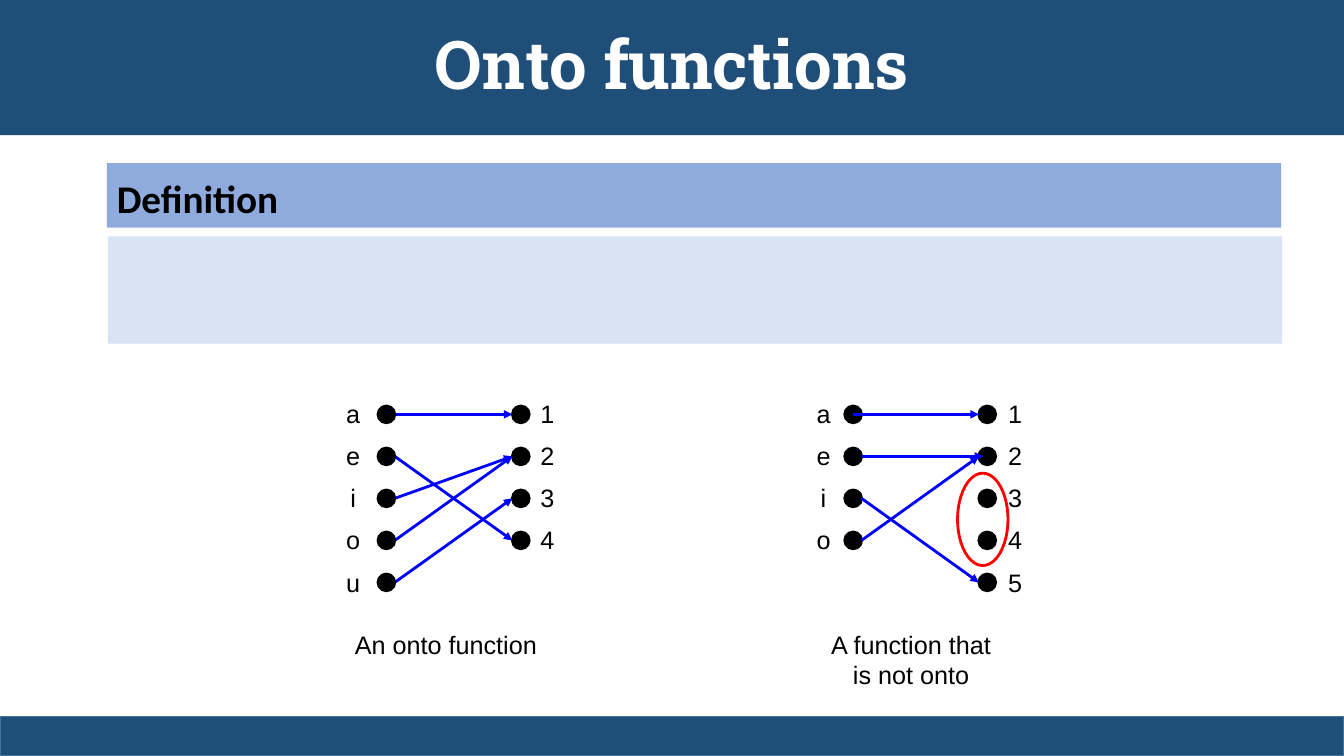
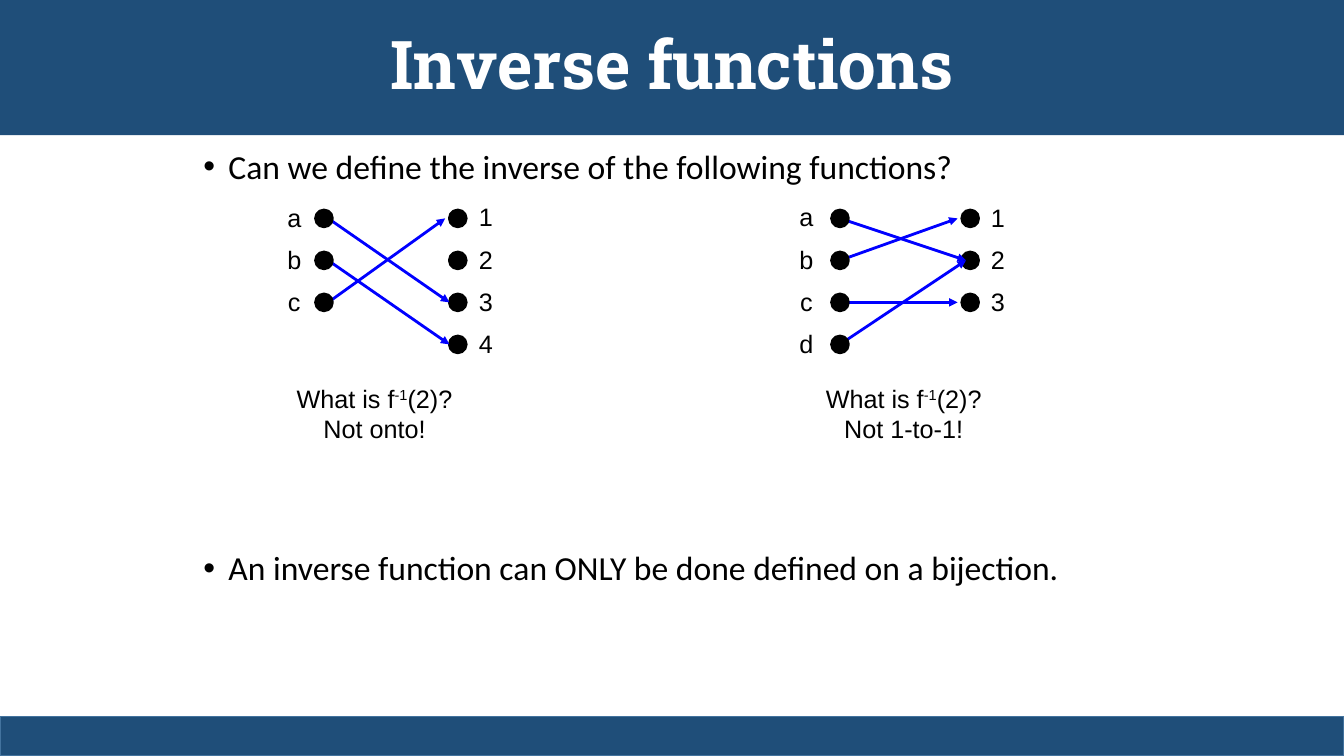
from pptx import Presentation
from pptx.dml.color import RGBColor
from pptx.enum import shapes, text
from pptx.oxml.ns import qn
from pptx.util import Pt
from lxml import etree

# Shared look
COLORS = {"band": "1F4E79", "band_edge": "43739E", "heading": "8FAADC", "panel": "DAE3F3",
          "dot": "000000", "arrow": "0000FF", "mark": "FF0000", "text": "000000",
          "title": "FFFFFF"}
STYLES = {
    "title": {"name": "Roboto Slab", "size": Pt(48), "bold": True, "color": "title"},
    "heading": {"name": "Calibri", "size": Pt(28), "bold": True, "color": "text"},
    "body": {"name": "Calibri", "size": Pt(24), "color": "text"},
    "label": {"name": "Arial", "size": Pt(18), "color": "text"},
}
WIDTH, HEIGHT = 960, 540
DOT, PITCH = 12, 30
LABEL_W = 24.5
ONTO_TOP, INVERSE_TOP = 290, 150

# Content: arrows are (left row, right row, start offset, end offset),
# with offsets measured from the left edges of the two dots
ONTO_DIAGRAMS = [
    {"left": "aeiou", "right": "1234", "dots_x": (270, 366), "labels_x": (240, 378.7),
     "arrows": [(0, 0, 12, 0), (1, 3, 12, 0), (2, 1, 12, 0), (3, 1, 12, 0), (4, 2, 12, 0)],
     "caption": [["An onto function"]], "caption_box": (238.5, 445.7, 160, 28.8)},
    {"left": "aeio", "right": "12345", "dots_x": (603.4, 699.2), "labels_x": (576, 712.8),
     "arrows": [(0, 0, 6, 0), (1, 1, 12, 3), (3, 1, 12, 0), (2, 4, 12, 0)],
     "arrows_on_top": True,
     "caption": [["A function that is not onto"]], "caption_box": (581.8, 445.7, 138, 50.4)},
]
INVERSE_DIAGRAMS = [
    {"left": "abc", "right": "1234", "dots_x": (225.4, 321), "labels_x": (198, 334.8),
     "arrows": [(1, 3, 9, 0), (0, 2, 9, 0), (2, 0, 9, -3)],
     "caption": [["What is f", "^-1", "(2)?"], ["Not onto!"]],
     "caption_box": (187.5, 270, 160, 50.4)},
    {"left": "abcd", "right": "123", "dots_x": (594, 687), "labels_x": (563.8, 700.6),
     "arrows": [(1, 0, 6, -3), (0, 1, 6, 3), (2, 2, 6, -3), (3, 1, 6, 3)],
     "caption": [["What is f", "^-1", "(2)?"], ["Not 1-to-1!"]],
     "caption_box": (565.5, 270, 160, 50.4)},
]
# Bullets with the space before each
INVERSE_BULLETS = [("Can we define the inverse of the following functions?", 0),
                   ("An inverse function can ONLY be done defined on a bijection.", 261)]


def rgb(key):
    return RGBColor.from_string(COLORS[key])


def set_font(font, style):
    for attr, value in STYLES[style].items():
        if attr == "color":
            font.color.rgb = rgb(value)
        else:
            setattr(font, attr, value)


def place(sp, left, top, width, height):
    sp.left, sp.top, sp.width, sp.height = map(Pt, (left, top, width, height))


def add_shape(s, kind, box, fill=None, line=None, line_width=2):
    sp = s.shapes.add_shape(kind, *map(Pt, box))
    sp.shadow.inherit = False
    if fill:
        sp.fill.solid()
        sp.fill.fore_color.rgb = rgb(fill)
    else:
        sp.fill.background()
    if line:
        sp.line.color.rgb = rgb(line)
        sp.line.width = Pt(line_width)
    else:
        sp.line.fill.background()
    return sp


def add_centred_text(s, box, paragraphs, spacing=1.0):
    """Each paragraph is a list of runs; a leading ^ marks a superscript."""
    tf = s.shapes.add_textbox(*map(Pt, box)).text_frame
    tf.word_wrap = True
    tf.margin_left = tf.margin_right = Pt(0 if box[2] == LABEL_W else 7.2)
    for i, runs in enumerate(paragraphs):
        p = tf.add_paragraph() if i else tf.paragraphs[0]
        p.alignment = text.PP_ALIGN.CENTER
        p.line_spacing = spacing
        for run in runs:
            r = p.add_run()
            r.text = run.lstrip("^")
            set_font(r.font, "label")
            if run.startswith("^"):
                r._r.get_or_add_rPr().set("baseline", "30000")


def add_arrow(s, x1, y1, x2, y2):
    c = s.shapes.add_connector(shapes.MSO_CONNECTOR.STRAIGHT, *map(Pt, (x1, y1, x2, y2)))
    c.line.color.rgb = rgb("arrow")
    c.line.width = Pt(2)
    etree.SubElement(c.line._get_or_add_ln(), qn("a:tailEnd"), type="triangle")
    etree.SubElement(c._element.spPr, qn("a:effectLst"))


def add_dots(s, x, top, count):
    for row in range(count):
        add_shape(s, shapes.MSO_SHAPE.OVAL, (x, top + row * PITCH, DOT, DOT), "dot", "dot")


def add_diagram(s, d, top):
    left_x, right_x = d["dots_x"]
    on_top = d.get("arrows_on_top", False)
    add_dots(s, right_x, top, len(d["right"]))
    if on_top:
        add_dots(s, left_x, top, len(d["left"]))
    for i, j, start, end in d["arrows"]:
        y1, y2 = (top + DOT / 2 + row * PITCH for row in (i, j))
        add_arrow(s, left_x + start, y1, right_x + end, y2)
    if not on_top:
        add_dots(s, left_x, top, len(d["left"]))
    for x, names in zip(d["labels_x"], (d["left"], d["right"])):
        box = (x, top - 18, LABEL_W, len(names) * PITCH + 8)
        add_centred_text(s, box, [[name] for name in names], spacing=1.4)
    add_centred_text(s, d["caption_box"], d["caption"])


def add_slide(prs, layout, title):
    s = prs.slides.add_slide(prs.slide_layouts.get_by_name(layout))
    sp = s.shapes.title
    place(sp, 0, 0, WIDTH, 96.5)
    sp.fill.solid()
    sp.fill.fore_color.rgb = rgb("band")
    tf = sp.text_frame
    tf.text = title
    tf.auto_size = text.MSO_AUTO_SIZE.NONE
    tf.vertical_anchor = text.MSO_ANCHOR.MIDDLE
    p = tf.paragraphs[0]
    p.alignment = text.PP_ALIGN.CENTER
    p.line_spacing = 0.9
    set_font(p.runs[0].font, "title")
    add_shape(s, shapes.MSO_SHAPE.RECTANGLE, (0, 511.75, WIDTH, 28.25), "band", "band_edge", 1)
    return s


def add_definition(s):
    sp = add_shape(s, shapes.MSO_SHAPE.RECTANGLE, (76.3, 116.6, 838.8, 46), "heading")
    tf = sp.text_frame
    tf.vertical_anchor = text.MSO_ANCHOR.TOP
    p = tf.paragraphs[0]
    p.alignment = text.PP_ALIGN.LEFT
    p.line_spacing = 1.14
    r = p.add_run()
    r.text = "Definition"
    set_font(r.font, "heading")
    add_shape(s, shapes.MSO_SHAPE.RECTANGLE, (77, 168.8, 838.8, 76.7), "panel")


def fill_bullets(sp, bullets):
    place(sp, 138, 103.7, 684, 401)
    tf = sp.text_frame
    tf.auto_size = text.MSO_AUTO_SIZE.NONE
    for i, (line, gap) in enumerate(bullets):
        p = tf.add_paragraph() if i else tf.paragraphs[0]
        p.line_spacing = 0.9
        p.space_before = Pt(gap)
        pPr = p._p.get_or_add_pPr()
        pPr.set("marL", str(Pt(18)))
        pPr.set("indent", str(-Pt(18)))
        etree.SubElement(pPr, qn("a:buFont"), typeface="Arial")
        etree.SubElement(pPr, qn("a:buChar"), char="•")
        r = p.add_run()
        r.text = line
        set_font(r.font, "body")


def main():
    prs = Presentation()
    prs.slide_width, prs.slide_height = Pt(WIDTH), Pt(HEIGHT)

    # Onto functions
    s = add_slide(prs, "Title Only", "Onto functions")
    add_definition(s)
    for d in ONTO_DIAGRAMS:
        add_diagram(s, d, ONTO_TOP)
    add_shape(s, shapes.MSO_SHAPE.OVAL, (684, 338, 36, 66), line="mark")

    # Inverse functions
    s = add_slide(prs, "Title and Content", "Inverse functions")
    fill_bullets(s.placeholders[1], INVERSE_BULLETS)
    for d in INVERSE_DIAGRAMS:
        add_diagram(s, d, INVERSE_TOP)

    prs.save("out.pptx")


if __name__ == "__main__":
    main()
